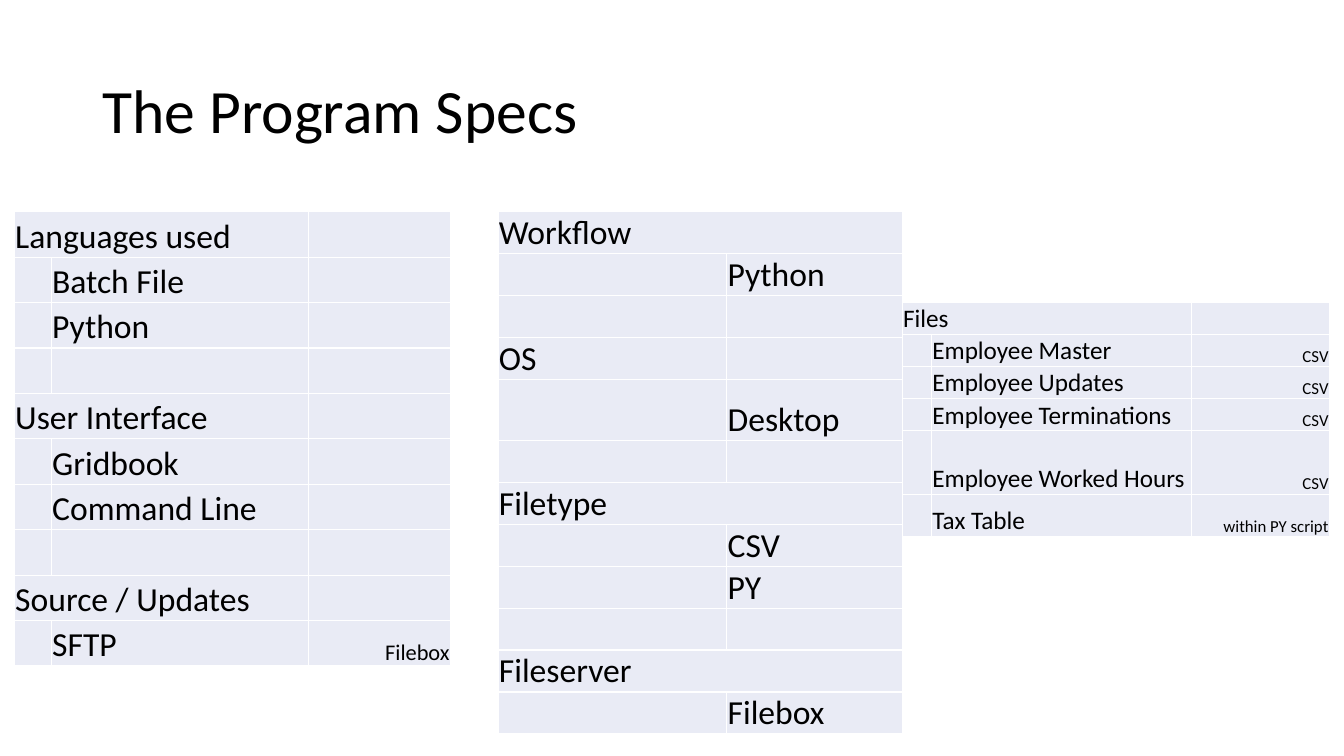
"""Build the program specs slide: a title and three tables."""
from dataclasses import dataclass
from itertools import product

from pptx import Presentation as Deck
from pptx.dml.color import RGBColor as Color
from pptx.enum.text import MSO_ANCHOR as Anchor, PP_ALIGN as Align
from pptx.oxml.ns import qn
from pptx.slide import Slide
from pptx.table import _Cell as Cell
from pptx.text.text import _Paragraph as Para
from pptx.util import Pt
from lxml.etree import SubElement as Sub


@dataclass(frozen=True)
class Theme:
    font: str = "Calibri"
    ink: str = "000000"
    fill: str = "E9EBF5"
    rule: str = "FFFFFF"
    title: float = 44
    large: float = 24
    mid: float = 18
    note: float = 16
    small: float = 12
    inset: float = 0.7


@dataclass(frozen=True)
class Grid:
    left: float
    top: float
    cols: tuple[float, ...]
    pitch: float
    rows: tuple[tuple[str, ...], ...]
    size: float
    note: float
    heads: tuple[int, ...]
    tall: tuple[tuple[int, float], ...] = ()


LOOK = Theme()

GRIDS = (
    Grid(10.2, 151.2, (26.4, 183.6, 101.6), 32.47, (
        ("Languages used", "", ""),
        ("", "Batch File", ""),
        ("", "Python", ""),
        ("", "", ""),
        ("User Interface", "", ""),
        ("", "Gridbook", ""),
        ("", "Command Line", ""),
        ("", "", ""),
        ("Source / Updates", "", ""),
        ("", "SFTP", "Filebox"),
    ), LOOK.large, LOOK.note, (0, 4, 8)),
    Grid(355.7, 151.2, (163.4, 125.3), 29.75, (
        ("Workflow", ""),
        ("", "Python"),
        ("", ""),
        ("OS", ""),
        ("", "Desktop"),
        ("", ""),
        ("Filetype", ""),
        ("", "CSV"),
        ("", "PY"),
        ("", ""),
        ("Fileserver", ""),
        ("", "Filebox"),
    ), LOOK.large, LOOK.note, (0, 6, 10), ((4, 43.9),)),
    Grid(644.4, 216, (20.9, 185.8, 98.6), 22.95, (
        ("Files", "", ""),
        ("", "Employee Master", "CSV"),
        ("", "Employee Updates", "CSV"),
        ("", "Employee Terminations", "CSV"),
        ("", "Employee Worked Hours", "CSV"),
        ("", "Tax Table", "within PY script"),
    ), LOOK.mid, LOOK.small, (0,), ((4, 45.4), (5, 30.2))),
)


def write(para: Para, text: str, size: float) -> None:
    """Add one run in the theme font."""
    run = para.add_run()
    run.text = text
    run.font.name = LOOK.font
    run.font.size = Pt(size)
    run.font.color.rgb = Color.from_string(LOOK.ink)


def dress(cell: Cell) -> None:
    """Set the borders, fill and insets of a cell."""
    props = cell._tc.get_or_add_tcPr()
    for side in ("L", "R", "T", "B"):
        line = Sub(props, qn(f"a:ln{side}"), w=str(Pt(1)))
        Sub(Sub(line, qn("a:solidFill")), qn("a:srgbClr"), val=LOOK.rule)
    cell.fill.solid()
    cell.fill.fore_color.rgb = Color.from_string(LOOK.fill)
    cell.margin_left = cell.margin_right = cell.margin_top = Pt(LOOK.inset)
    cell.margin_bottom = Pt(0)
    cell.vertical_anchor = Anchor.BOTTOM


def draw(slide: Slide, grid: Grid) -> None:
    """Draw one table from its grid."""
    tall = dict(grid.tall)
    highs = [tall.get(row, grid.pitch) for row in range(len(grid.rows))]
    table = slide.shapes.add_table(
        len(highs), len(grid.cols), Pt(grid.left), Pt(grid.top),
        Pt(sum(grid.cols)), Pt(sum(highs))).table
    table.first_row = table.horz_banding = False
    for col, wide in zip(table.columns, grid.cols):
        col.width = Pt(wide)
    for row, high in zip(table.rows, highs):
        row.height = Pt(high)
    for row, col in product(range(len(highs)), range(len(grid.cols))):
        cell = table.cell(row, col)
        dress(cell)
        text = grid.rows[row][col]
        if text:
            para = cell.text_frame.paragraphs[0]
            is_note = col == 2
            para.alignment = Align.RIGHT if is_note else Align.LEFT
            write(para, text, grid.note if is_note else grid.size)
    for row in grid.heads:
        table.cell(row, 0).merge(table.cell(row, 1))


def main() -> None:
    """Build and save the deck."""
    deck = Deck()
    deck.slide_width, deck.slide_height = Pt(960), Pt(540)
    slide = deck.slides.add_slide(deck.slide_layouts[5])
    title = slide.shapes.title
    title.left, title.top = Pt(66), Pt(28.8)
    title.width, title.height = Pt(828), Pt(104.4)
    title.text_frame.vertical_anchor = Anchor.MIDDLE
    para = title.text_frame.paragraphs[0]
    para.alignment = Align.LEFT
    para.line_spacing = 0.9
    write(para, "The Program Specs", LOOK.title)
    for grid in GRIDS:
        draw(slide, grid)
    deck.save("out.pptx")


if __name__ == "__main__":
    main()
